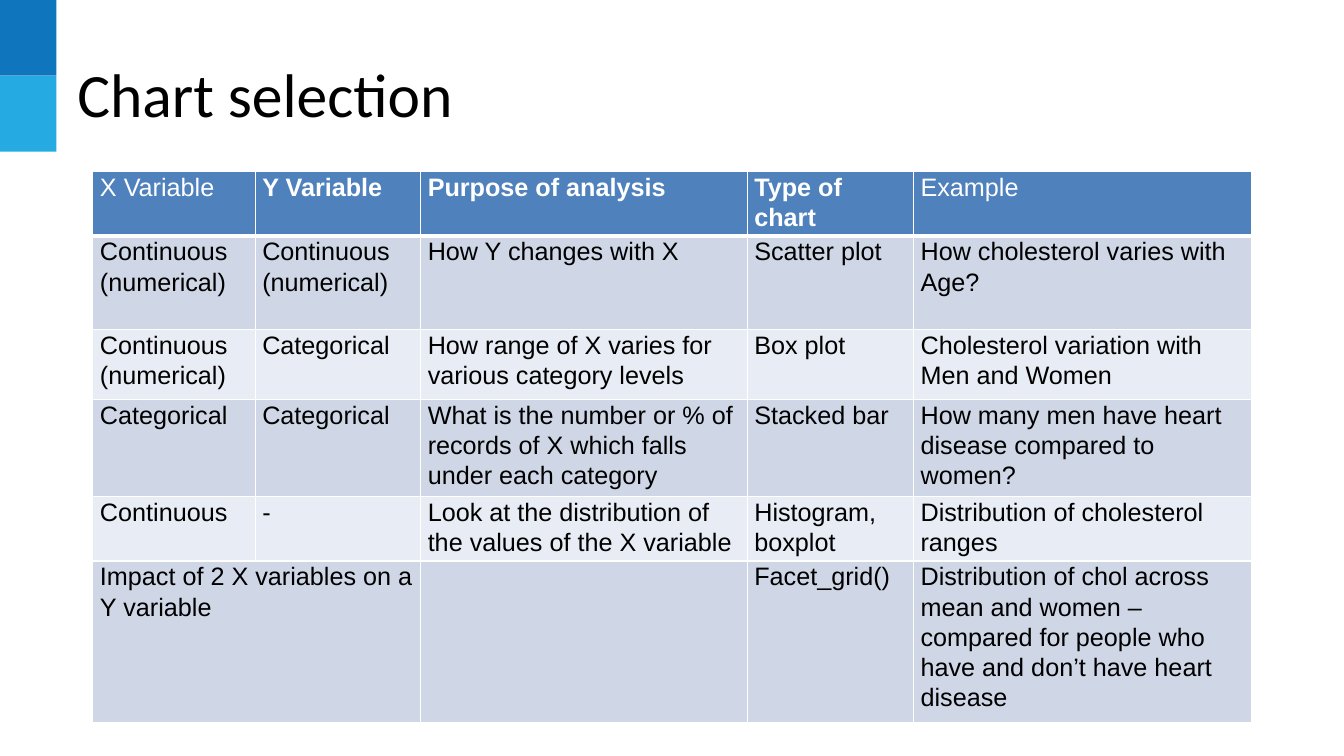
from lxml import etree
from pptx import Presentation
from pptx.dml.color import RGBColor
from pptx.enum.shapes import MSO_SHAPE
from pptx.enum.text import MSO_ANCHOR
from pptx.oxml.ns import qn
from pptx.util import Cm, Pt

RECTANGLE = MSO_SHAPE.RECTANGLE
MIDDLE = MSO_ANCHOR.MIDDLE
BLACK = RGBColor(0x00, 0x00, 0x00)
WHITE = RGBColor(0xFF, 0xFF, 0xFF)
DARK_BLUE = RGBColor(0x0F, 0x75, 0xBD)
LIGHT_BLUE = RGBColor(0x25, 0xAA, 0xE2)
HEADER_BLUE = RGBColor(0x4F, 0x81, 0xBD)
BANDS = (RGBColor(0xE8, 0xEC, 0xF4), RGBColor(0xCF, 0xD7, 0xE7))

COLUMN_WIDTHS = (4.09, 4.17, 8.23, 4.19, 8.53)
ROW_HEIGHTS = (1.51, 2.36, 1.75, 2.36, 1.51, 3.79)
BOLD_HEADINGS = ("Y Variable", "Purpose of analysis", "Type of chart")
CHART_GUIDE = (
    ("X Variable", "Y Variable", "Purpose of analysis", "Type of chart", "Example"),
    ("Continuous (numerical)", "Continuous (numerical)", "How Y changes with X",
     "Scatter plot", "How cholesterol varies with Age?"),
    ("Continuous (numerical)", "Categorical",
     "How range of X varies for various category levels",
     "Box plot", "Cholesterol variation with Men and Women"),
    ("Categorical", "Categorical",
     "What is the number or % of records of X which falls under each category",
     "Stacked bar", "How many men have heart disease compared to women?"),
    ("Continuous", "-", "Look at the distribution of the values of the X variable",
     "Histogram, boxplot", "Distribution of cholesterol ranges"),
    ("Impact of 2 X variables on a Y variable", "", "", "Facet_grid()",
     "Distribution of chol across mean and women – compared for people who "
     "have and don’t have heart disease"),
)


class SlideBuilder:
    """Draws styled elements on the current slide."""

    title_font = "Calibri"
    table_font = "Arial"

    def __init__(self, slide):
        self.slide = slide

    def block(self, left, top, width, height, color):
        shape = self.slide.shapes.add_shape(
            RECTANGLE, Cm(left), Cm(top), Cm(width), Cm(height))
        shape.shadow.inherit = False
        shape.fill.solid()
        shape.fill.fore_color.rgb = color
        shape.line.fill.background()

    def title(self, text, left, top, width, height):
        box = self.slide.shapes.add_textbox(Cm(left), Cm(top), Cm(width), Cm(height))
        frame = box.text_frame
        frame.word_wrap = True
        frame.vertical_anchor = MIDDLE
        frame.text = text
        self.style(frame.paragraphs[0], self.title_font, 44, BLACK)

    def style(self, paragraph, name, size, color, bold=False):
        font = paragraph.font
        font.name = name
        font.size = Pt(size)
        font.color.rgb = color
        font.bold = bold

    def borders(self, cell, top, bottom):
        properties = cell._tc.get_or_add_tcPr()
        widths = {"a:lnL": 1, "a:lnR": 1, "a:lnT": top, "a:lnB": bottom}
        for position, (tag, width) in enumerate(widths.items()):
            line = etree.Element(qn(tag), w=str(Pt(width)))
            fill = etree.SubElement(line, qn("a:solidFill"))
            etree.SubElement(fill, qn("a:srgbClr"), val=str(WHITE))
            properties.insert(position, line)

    def cell(self, cell, text, row):
        header = row == 0
        cell.margin_left = cell.margin_right = Cm(0.18)
        cell.margin_top = cell.margin_bottom = 0
        cell.fill.solid()
        cell.fill.fore_color.rgb = HEADER_BLUE if header else BANDS[row % 2]
        self.borders(cell, 3 if row == 1 else 1, 3 if header else 1)
        cell.text = text
        paragraph = cell.text_frame.paragraphs[0]
        paragraph.line_spacing = 1.07
        self.style(paragraph, self.table_font, 18, WHITE if header else BLACK,
                   header and text in BOLD_HEADINGS)

    def table(self, rows, left, top, widths, heights):
        table = self.slide.shapes.add_table(
            len(rows), len(widths), Cm(left), Cm(top),
            Cm(sum(widths)), Cm(sum(heights))).table
        for column, width in zip(table.columns, widths):
            column.width = Cm(width)
        for row, height in zip(table.rows, heights):
            row.height = Cm(height)
        for row, texts in enumerate(rows):
            for column, text in enumerate(texts):
                self.cell(table.cell(row, column), text, row)
        return table


def main():
    presentation = Presentation()
    presentation.slide_width = Cm(33.87)
    presentation.slide_height = Cm(19.05)
    slide = presentation.slides.add_slide(presentation.slide_layouts[6])
    builder = SlideBuilder(slide)
    for index, color in enumerate((DARK_BLUE, LIGHT_BLUE)):
        builder.block(0, index * 1.91, 1.42, 1.91, color)
    builder.title("Chart selection", 1.7, 0.76, 30.48, 3.18)
    table = builder.table(CHART_GUIDE, 2.34, 4.32, COLUMN_WIDTHS, ROW_HEIGHTS)
    table.cell(5, 0).merge(table.cell(5, 1))
    presentation.save("out.pptx")


if __name__ == "__main__":
    main()
